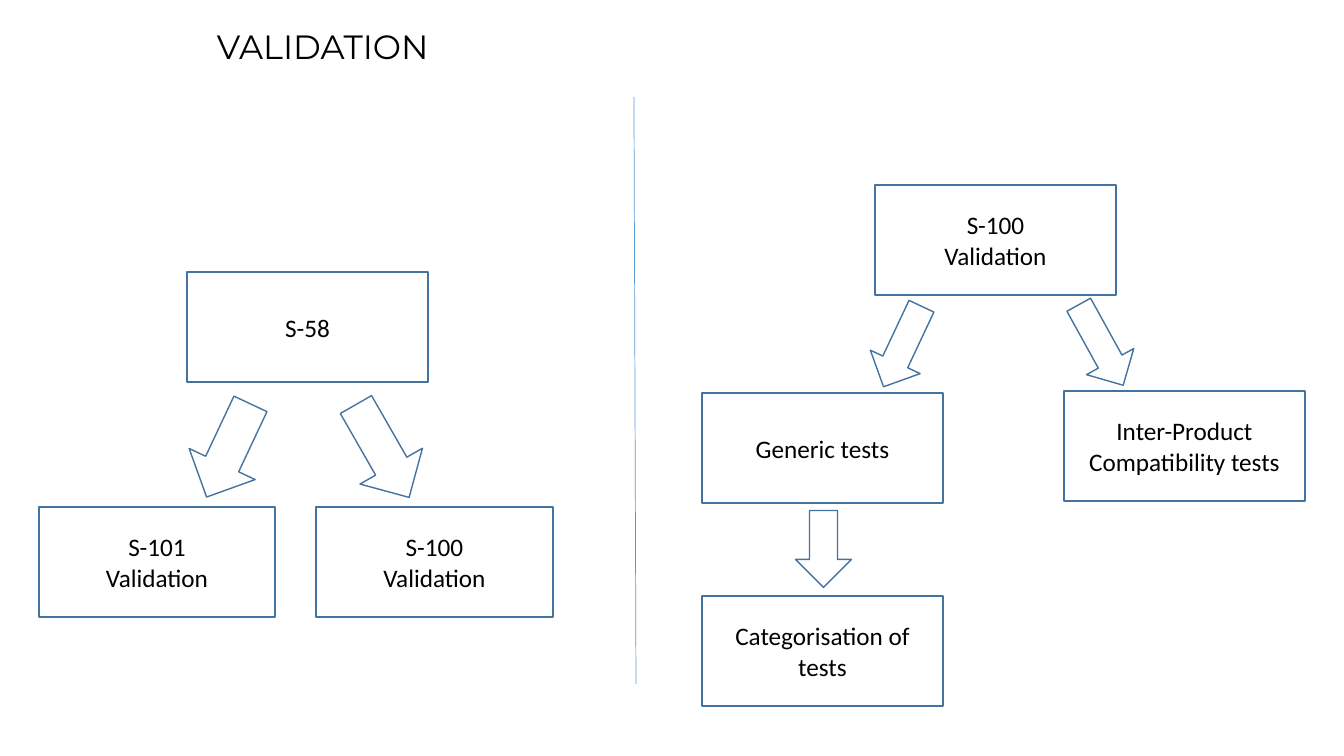
"""Build the validation slide: two test hierarchies side by side."""
from dataclasses import dataclass
from pptx import Presentation
from pptx import util as u
from pptx.dml.color import RGBColor
from pptx.enum import shapes, text
from pptx.oxml import parse_xml
from pptx.oxml.ns import nsdecls

SCALE = 914400 / 100.8


@dataclass(frozen=True)
class Theme:
    """Colours, fonts and sizes of the slide."""
    ink: RGBColor = RGBColor(0, 0, 0)
    paper: RGBColor = RGBColor(255, 255, 255)
    edge: RGBColor = RGBColor.from_string("43739E")
    rule: RGBColor = RGBColor.from_string("5B9BD5")
    head: str = "Montserrat"
    body: str = "Calibri"
    big: float = 24
    small: float = 18
    thick: float = 1
    thin: float = 0.5


@dataclass(frozen=True)
class Box:
    """A labelled box, one paragraph per line."""
    left: int
    top: int
    lines: tuple[str, ...]
    width: int = 241
    height: int = 110
    solid: bool = False


@dataclass(frozen=True)
class Arrow:
    """A right arrow turned clockwise by some degrees."""
    left: int
    top: int
    width: int
    height: int
    turn: float
    solid: bool = True


THEME = Theme()
BOXES = (
    Box(187, 272, ("S-58",)),
    Box(39, 507, ("S-101", "Validation"), 236, solid=True),
    Box(316, 507, ("S-100", "Validation"), 237),
    Box(875, 185, ("S-100", "Validation")),
    Box(702, 393, ("Generic tests",)),
    Box(1064, 391, ("Inter-Product Compatibility tests",)),
    Box(702, 596, ("Categorisation of tests",)),
)
ARROWS = (
    Arrow(177, 414, 103, 73, 115.2),
    Arrow(329, 415, 107, 72, 60.2, solid=False),
    Arrow(858, 319, 89, 55, 115.2),
    Arrow(1055, 318, 92, 54, 61.1),
    Arrow(785, 521, 77, 56, 90),
)


def px(*dots: int) -> list[u.Emu]:
    """Turn pixels into EMU."""
    return [u.Emu(round(dot * SCALE)) for dot in dots]


def write(para, words: str, face: str, size: float) -> None:
    """Add one run in the given face and size."""
    run = para.add_run()
    run.text = words
    run.font.name = face
    run.font.size = u.Pt(size)
    run.font.color.rgb = THEME.ink


def draw(slide, kind, item: Box | Arrow):
    """Add one outlined shape, white inside if solid."""
    place = px(item.left, item.top, item.width, item.height)
    shape = slide.shapes.add_shape(kind, *place)
    shape.shadow.inherit = False
    if item.solid:
        shape.fill.solid()
        shape.fill.fore_color.rgb = THEME.paper
    else:
        shape.fill.background()
    shape.line.color.rgb = THEME.edge
    shape.line.width = u.Pt(THEME.thick)
    return shape


def add_box(slide, box: Box) -> None:
    """Draw a box with its centred label."""
    frame = draw(slide, shapes.MSO_SHAPE.RECTANGLE, box).text_frame
    frame.word_wrap = True
    frame.vertical_anchor = text.MSO_ANCHOR.MIDDLE
    for place, words in enumerate(box.lines):
        para = frame.add_paragraph() if place else frame.paragraphs[0]
        para.alignment = text.PP_ALIGN.CENTER
        write(para, words, THEME.body, THEME.small)


def add_arrow(slide, arrow: Arrow) -> None:
    """Draw a turned arrow."""
    draw(slide, shapes.MSO_SHAPE.RIGHT_ARROW, arrow).rotation = arrow.turn


def add_title(slide, words: str) -> None:
    """Write the slide title."""
    frame = slide.shapes.add_textbox(*px(207, 0, 1137, 98)).text_frame
    frame.word_wrap = True
    frame.vertical_anchor = text.MSO_ANCHOR.MIDDLE
    para = frame.paragraphs[0]
    para.line_spacing = 0.9
    write(para, words, THEME.head, THEME.big)


def add_rule(slide) -> None:
    """Draw the line between the two halves."""
    line = slide.shapes.add_connector(
        shapes.MSO_CONNECTOR.STRAIGHT, *px(634, 97, 636, 684))
    line.line.color.rgb = THEME.rule
    line.line.width = u.Pt(THEME.thin)
    line._element.spPr.append(parse_xml(f"<a:effectLst {nsdecls('a')}/>"))


def main() -> None:
    """Build and save the slide."""
    deck = Presentation()
    deck.slide_width, deck.slide_height = px(1344, 756)
    slide = deck.slides.add_slide(deck.slide_layouts[6])
    add_title(slide, "VALIDATION")
    add_rule(slide)
    for box in BOXES:
        add_box(slide, box)
    for arrow in ARROWS:
        add_arrow(slide, arrow)
    deck.save("out.pptx")


main()
